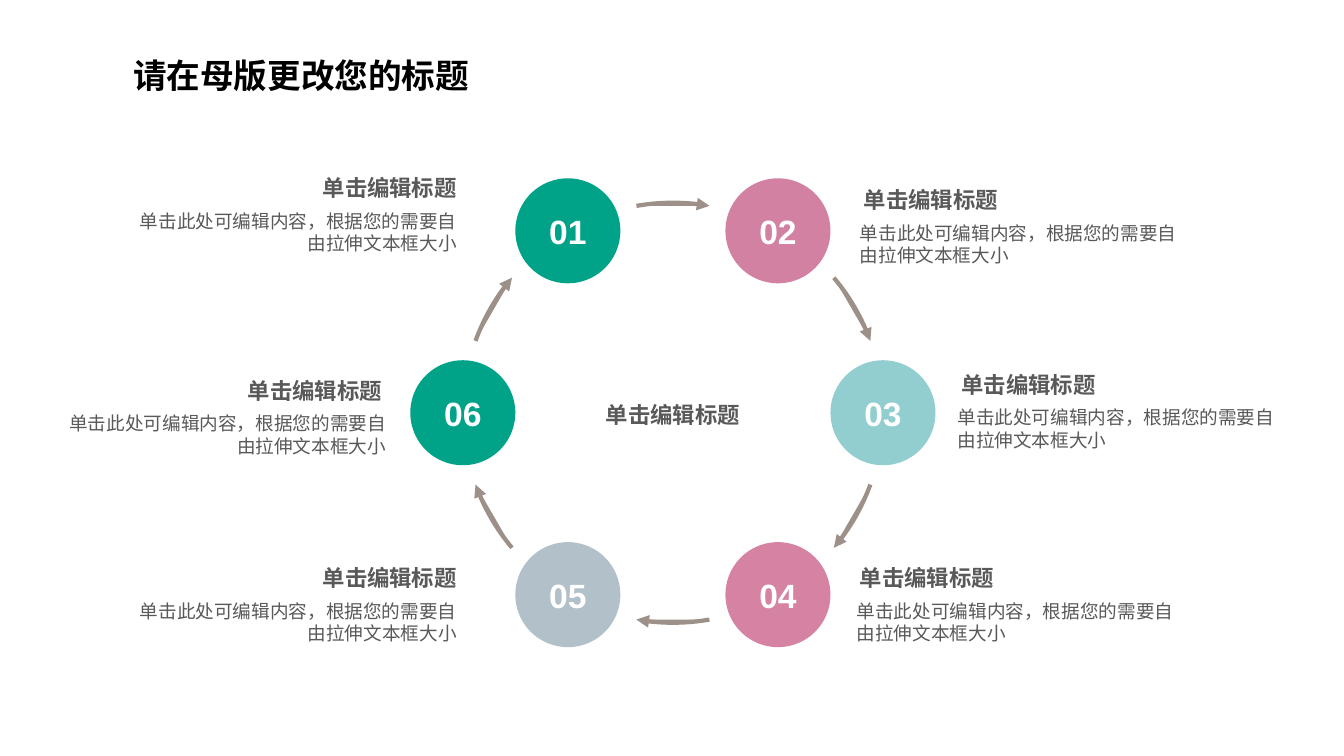
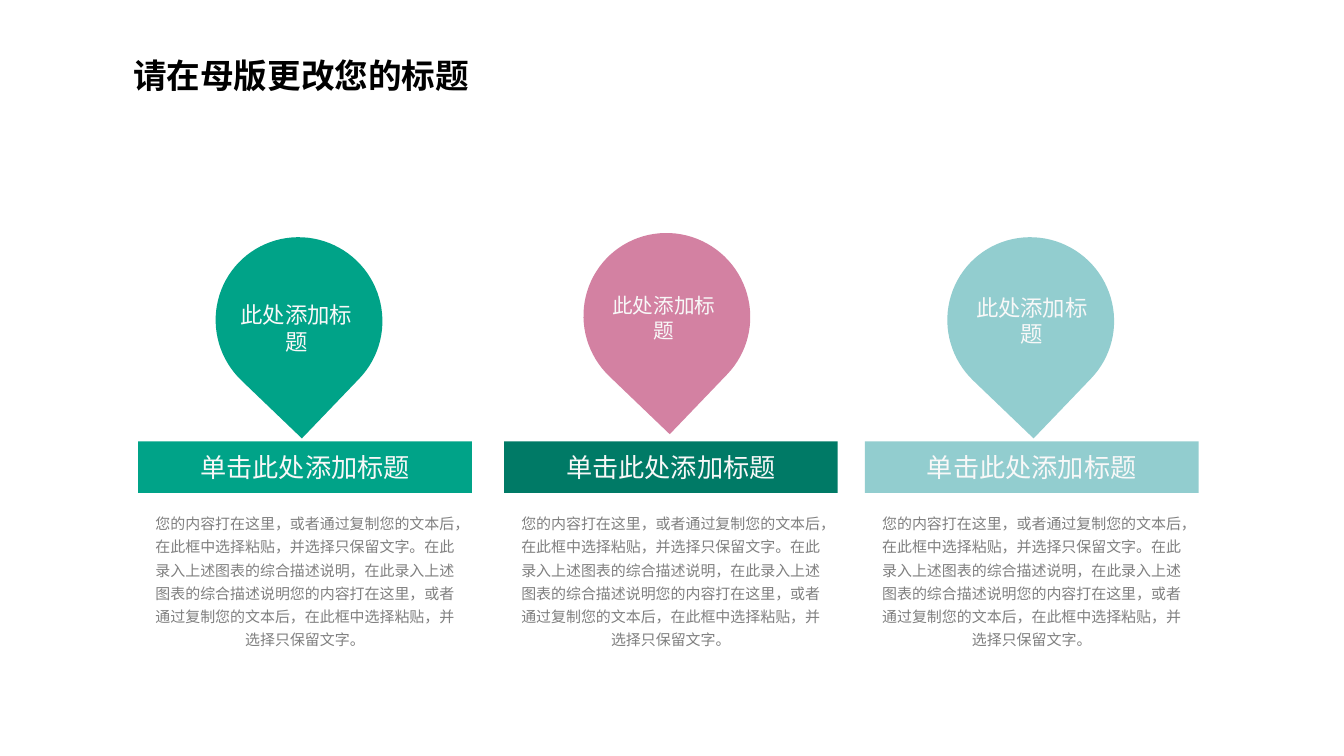
import math
from dataclasses import dataclass

from lxml import etree
from pptx import Presentation
from pptx import util as u
from pptx.dml.color import RGBColor
from pptx.enum import lang, shapes, text
from pptx.oxml import ns

GREEN = RGBColor(0x00, 0xA3, 0x88)
DARK_GREEN = RGBColor(0x00, 0x7A, 0x66)
PINK = RGBColor(0xD3, 0x81, 0xA2)
ROSE = RGBColor(0xD5, 0x82, 0xA3)
AQUA = RGBColor(0x92, 0xCD, 0xCF)
STEEL = RGBColor(0xB1, 0xC0, 0xC9)
TAUPE = RGBColor(0x9C, 0x90, 0x88)
BLACK = RGBColor(0x00, 0x00, 0x00)
CHARCOAL = RGBColor(0x59, 0x59, 0x59)
GREY = RGBColor(0x80, 0x80, 0x80)
WHITE = RGBColor(0xFF, 0xFF, 0xFF)
OFF_WHITE = RGBColor(0xF8, 0xF8, 0xF8)

BODY_FONT = "Arial"
TITLE_FONT = "Noto Sans CJK SC"
LEFT, CENTER, RIGHT = text.PP_ALIGN.LEFT, text.PP_ALIGN.CENTER, text.PP_ALIGN.RIGHT
TOP, MIDDLE = text.MSO_ANCHOR.TOP, text.MSO_ANCHOR.MIDDLE
OVAL, TEARDROP, BAND = (
    shapes.MSO_SHAPE.OVAL, shapes.MSO_SHAPE.TEAR, shapes.MSO_SHAPE.RECTANGLE)

TITLE = "请在母版更改您的标题"
HEADING = "单击编辑标题"
CAPTION = "单击此处可编辑内容，根据您的需要自由拉伸文本框大小"
DROP_LABEL = "此处添加标题"
BAND_LABEL = "单击此处添加标题"
COLUMN_TEXT = (
    "您的内容打在这里，或者通过复制您的文本后，在此框中选择粘贴，并选择只保留文字。"
    "在此录入上述图表的综合描述说明，在此录入上述图表的综合描述说明"
    "您的内容打在这里，或者通过复制您的文本后，在此框中选择粘贴，并选择只保留文字。"
)


@dataclass
class Box:
    """A region in EMU whose inner areas are given as percentages of it."""
    left: float
    top: float
    width: float
    height: float

    def share(self, left, top, width, height):
        """Return the region at the given percentages of this one."""
        return Box(self.left + self.width * left / 100,
                   self.top + self.height * top / 100,
                   self.width * width / 100, self.height * height / 100)

    def emu(self):
        """Return left, top, width and height as whole EMU."""
        return [u.Emu(round(n)) for n in (self.left, self.top, self.width, self.height)]


PAGE = Box(0, 0, u.Inches(13.33), u.Inches(7.5))


def write(holder, words, size, color, bold=False, align=LEFT, anchor=TOP,
          font=BODY_FONT, margins=(0.1, 0.05), spacing=None):
    """Fill a shape with one formatted paragraph."""
    frame = holder.text_frame
    frame.word_wrap = True
    frame.auto_size = text.MSO_AUTO_SIZE.NONE
    frame.vertical_anchor = anchor
    frame.margin_left = frame.margin_right = u.Inches(margins[0])
    frame.margin_top = frame.margin_bottom = u.Inches(margins[1])
    frame.text = words
    paragraph = frame.paragraphs[0]
    paragraph.alignment = align
    if spacing:
        paragraph.line_spacing = spacing
    style = paragraph.font
    style.name, style.size, style.bold = font, u.Pt(size), bold
    style.color.rgb = color
    style.language_id = lang.MSO_LANGUAGE_ID.SIMPLIFIED_CHINESE


def add_text(slide, box, *args, **kwargs):
    """Place a text box."""
    write(slide.shapes.add_textbox(*box.emu()), *args, **kwargs)


def add_filled(slide, kind, box, color):
    """Place a flat preset shape without outline."""
    shape = slide.shapes.add_shape(kind, *box.emu())
    shape.shadow.inherit = False
    shape.fill.solid()
    shape.fill.fore_color.rgb = color
    shape.line.fill.background()
    return shape


def add_titled_slide(deck):
    """Add a slide carrying the shared title."""
    slide = deck.slides.add_slide(deck.slide_layouts[5])
    title = slide.shapes.title
    title.left, title.top, title.width, title.height = PAGE.share(9.15, 6.53, 42.75, 6.67).emu()
    write(title, TITLE, 24, BLACK, bold=True, anchor=MIDDLE, font=TITLE_FONT)
    return slide


def add_arc_arrow(slide, center, radius, middle, half_sweep=10, steps=16):
    """Draw a clockwise arrow along a circle around the middle angle."""
    angles = [math.radians(middle - half_sweep + 2 * half_sweep * i / steps)
              for i in range(steps + 1)]
    start, *rest = [(center[0] + radius * math.cos(a), center[1] + radius * math.sin(a))
                    for a in angles]
    outline = slide.shapes.build_freeform(*start)
    outline.add_line_segments(rest, close=False)
    arrow = outline.convert_to_shape()
    arrow.shadow.inherit = False
    arrow.fill.solid()
    arrow.fill.fore_color.rgb = TAUPE
    arrow.line.color.rgb = TAUPE
    arrow.line.width = u.Pt(3)
    stroke = arrow.element.spPr.find(ns.qn("a:ln"))
    etree.SubElement(stroke, ns.qn("a:tailEnd"), type="triangle")


def add_ring(slide, box, colors):
    """Draw numbered circles on a ring, arrows between them and a centre label."""
    center = box.left + box.width / 2, box.top + box.height / 2
    radius, diameter = box.width * 0.4, box.width * 0.2
    add_text(slide, box.share(28, 25.7, 44, 49.2), HEADING, 16, CHARCOAL, bold=True,
             align=CENTER, anchor=MIDDLE, margins=(0, 0))
    step = 360 / len(colors)
    for i, color in enumerate(colors):
        angle = step * i - 120
        x, y = (c + radius * turn(math.radians(angle)) - diameter / 2
                for c, turn in zip(center, (math.cos, math.sin)))
        circle = add_filled(slide, OVAL, Box(x, y, diameter, diameter), color)
        write(circle, f"{i + 1:02}", 24, WHITE, bold=True, align=CENTER,
              anchor=MIDDLE, margins=(0, 0))
        add_arc_arrow(slide, center, radius, angle + step / 2)


def add_caption(slide, box, heading_left, align):
    """Place a heading above its description."""
    add_text(slide, box.share(0, 40.2, 100, 59.8), CAPTION, 13.3, CHARCOAL, align=align)
    add_text(slide, box.share(heading_left, 0, 74.6, 43.5), HEADING, 16, CHARCOAL,
             bold=True, margins=(0.13, 0.07))


def add_drop_column(slide, box, drop_color, band_color, drop_at, label_at, label_size):
    """Stack a pin, a coloured band and a paragraph."""
    drop = add_filled(slide, TEARDROP, box.share(*drop_at, 49.8, 40), drop_color)
    drop.rotation = 133.8
    add_text(slide, box.share(*label_at, 41.1, 15.4), DROP_LABEL, label_size, OFF_WHITE,
             align=CENTER, anchor=MIDDLE)
    band = add_filled(slide, BAND, box.share(0, 48.9, 100, 12.3), band_color)
    write(band, BAND_LABEL, 18.7, OFF_WHITE, align=CENTER, anchor=MIDDLE)
    add_text(slide, box.share(0, 63.9, 100, 36.1), COLUMN_TEXT, 10.7, GREY,
             align=CENTER, spacing=1.3)


def build_cycle(deck):
    """Build the six-step cycle slide."""
    slide = add_titled_slide(deck)
    add_ring(slide, PAGE.share(30.53, 23.6, 39.08, 62),
             [GREEN, PINK, AQUA, ROSE, STEEL, GREEN])
    for left, top, heading_left, align in [
        (9.08, 22.13, 54.4, RIGHT),
        (63.23, 23.73, 0.3, LEFT),
        (70.5, 48.13, 0.3, LEFT),
        (63, 73.73, 0, LEFT),
        (9.08, 73.73, 54.4, RIGHT),
        (3.83, 48.93, 53.2, RIGHT),
    ]:
        add_caption(slide, PAGE.share(left, top, 25.65, 12.27), heading_left, align)


def build_columns(deck):
    """Build the slide of three pin columns."""
    slide = add_titled_slide(deck)
    for left, *column in [
        (10.28, GREEN, GREEN, (23.3, 0), (26.9, 14.2), 16),
        (37.5, PINK, DARK_GREEN, (23.9, -1), (27.3, 11.7), 14.7),
        (64.35, AQUA, AQUA, (24.8, 0), (29.5, 12.3), 16),
    ]:
        add_drop_column(slide, PAGE.share(left, 31.33, 24.83, 55.33), *column)


def main():
    """Build and save the presentation."""
    deck = Presentation()
    deck.slide_width, deck.slide_height = PAGE.emu()[2:]
    build_cycle(deck)
    build_columns(deck)
    deck.save("out.pptx")


if __name__ == "__main__":
    main()
